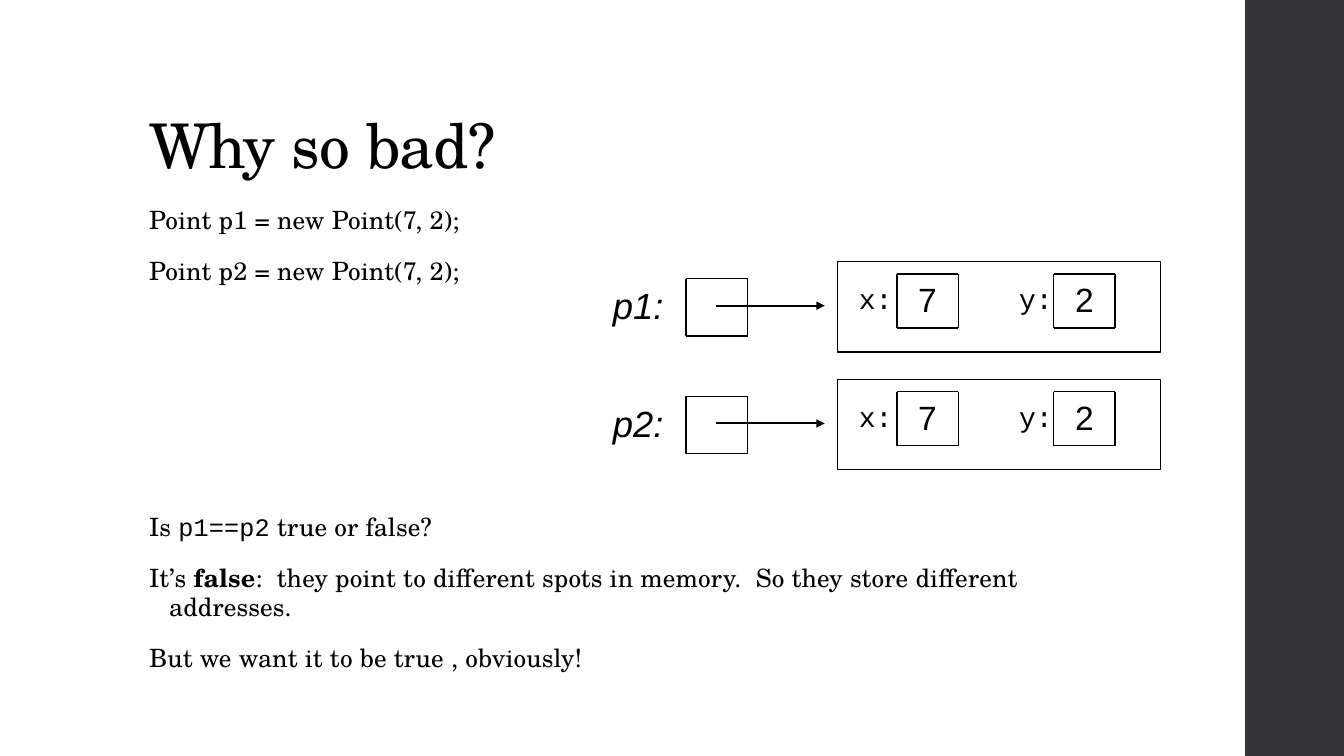
from dataclasses import dataclass

from lxml.etree import SubElement
from pptx import Presentation
from pptx.dml.color import RGBColor
from pptx.enum.shapes import MSO_CONNECTOR as Connector, MSO_SHAPE as Shape
from pptx.enum.text import MSO_ANCHOR as Anchor, PP_ALIGN as Align
from pptx.oxml.ns import qn
from pptx.util import Inches, Pt

BLACK = RGBColor(0x00, 0x00, 0x00)
WHITE = RGBColor(0xFF, 0xFF, 0xFF)
CHARCOAL = RGBColor(0x35, 0x35, 0x37)
SERIF, SANS, MONO = "TeX Gyre Schola", "Arial", "Courier New"

WIDTH, HEIGHT = Inches(13.33), Inches(7.5)
GRID = HEIGHT / 75

DECLARATIONS = [
    [("Point p1 = new Point(7, 2);", {})],
    [("Point p2 = new Point(7, 2);", {})],
]
CONCLUSIONS = [
    [("Is ", {}), ("p1==p2", {"name": MONO}), (" true or false?", {})],
    [("It’s ", {}), ("false", {"bold": True}),
     (":  they point to different spots in memory.  So they store different addresses.", {})],
    [("But we want it to be true , obviously!", {})],
]


@dataclass
class Box:
    """A rectangle measured in grid columns and rows."""
    left: float
    top: float
    width: float
    height: float

    def inner(self, left, top, width, height):
        """Return a box placed relative to this one."""
        return Box(self.left + left, self.top + top, width, height)

    def emu(self):
        """Return the rectangle in slide units."""
        return [round(n * GRID) for n in (self.left, self.top, self.width, self.height)]


def style(para, name, size, align=Align.LEFT, italic=False):
    """Set the font and alignment of a whole paragraph."""
    para.alignment = align
    para.font.name, para.font.size = name, Pt(size)
    para.font.italic = italic
    para.font.color.rgb = BLACK


def set_indent(para, margin, first=0):
    """Set the left margin and first-line indent in inches."""
    properties = para._p.get_or_add_pPr()
    properties.set("marL", str(Inches(margin)))
    properties.set("indent", str(Inches(first)))


def add_spans(para, spans, spacing):
    """Add letter-spaced runs, each with its own font overrides."""
    for words, overrides in spans:
        span = para.add_run()
        span.text = words
        for key, value in overrides.items():
            setattr(span.font, key, value)
        span._r.get_or_add_rPr().set("spc", str(spacing))


def add_text(page, box, anchor=Anchor.TOP):
    """Add a wrapping text box and return its text frame."""
    frame = page.shapes.add_textbox(*box.emu()).text_frame
    frame.word_wrap = True
    frame.vertical_anchor = anchor
    return frame


def add_label(page, box, words, name, size, italic=False, margin=0):
    """Add a centred one-line label."""
    para = add_text(page, box).paragraphs[0]
    para.text = words
    set_indent(para, margin)
    style(para, name, size, Align.CENTER, italic)


def add_rect(page, box, fill=None, line=None):
    """Add a flat rectangle with an optional fill and outline width."""
    shape = page.shapes.add_shape(Shape.RECTANGLE, *box.emu())
    shape.shadow.inherit = False
    if fill is None:
        shape.fill.background()
    else:
        shape.fill.solid()
        shape.fill.fore_color.rgb = fill
    if line is None:
        shape.line.fill.background()
    else:
        shape.line.color.rgb = BLACK
        shape.line.width = Pt(line)
    return shape


def add_line(page, box, width, arrow=False):
    """Add a line from the top left to the bottom right of the box."""
    left, top, across, down = box.emu()
    line = page.shapes.add_connector(Connector.STRAIGHT, left, top, left + across, top + down)
    line.line.color.rgb = BLACK
    line.line.width = Pt(width)
    if arrow:
        SubElement(line.line._get_or_add_ln(), qn("a:tailEnd"), type="triangle")
    SubElement(line._element.spPr, qn("a:effectLst"))


def add_frame(page, box):
    """Draw the four sides of a memory cell."""
    for top in (0, box.height):
        add_line(page, box.inner(0, top, box.width, 0), 1)
    for left in (0, box.width):
        add_line(page, box.inner(left, 0, 0, box.height), 1)


def add_title(page, box, words):
    """Add the slide title, resting on the bottom of its box."""
    para = add_text(page, box, Anchor.BOTTOM).paragraphs[0]
    para.line_spacing = 0.9
    add_spans(para, [(words, {})], -50)
    style(para, SERIF, 44)


def add_body(page, box, lines):
    """Add paragraphs with a hanging indent."""
    frame = add_text(page, box)
    for index, spans in enumerate(lines):
        para = frame.add_paragraph() if index else frame.paragraphs[0]
        para.line_spacing = 0.95
        para.space_before = Pt(14 if index else 0)
        para.space_after = Pt(2)
        set_indent(para, 0.2, -0.2)
        add_spans(para, spans, 10)
        style(para, SERIF, 18)


def add_value(page, box, value):
    """Add a framed cell that holds a field's value."""
    cell = add_rect(page, box, WHITE)
    cell.text_frame.vertical_anchor = Anchor.TOP
    para = cell.text_frame.paragraphs[0]
    para.text = value
    style(para, SANS, 24, Align.CENTER)
    add_frame(page, box)


def add_point(page, box):
    """Add an object with its two named fields."""
    add_rect(page, box, line=0.75)
    add_label(page, box.inner(12.8, 1.5, 10.7, 5.3), "y:", MONO, 20, margin=0.3)
    add_label(page, box.inner(0.85, 1.5, 5.8, 5.3), "x:", MONO, 20)
    for index, value in enumerate(("7", "2")):
        add_value(page, box.inner(5.85 + 15.55 * index, 1.25, 6.1, 5.35), value)


def add_reference(page, box, variable):
    """Add a variable whose arrow leads to the object it refers to."""
    add_label(page, box.inner(0, 1.7, 9.6, 5.7), variable, SANS, 26, italic=True)
    add_frame(page, box.inner(9.55, 1.7, 6.1, 5.7))
    add_line(page, box.inner(12.5, 4.4, 10.8, 0), 1.5, arrow=True)
    add_point(page, box.inner(24.6, 0, 32, box.height))


def build_slide(page):
    """Place every region of the slide on the grid."""
    add_rect(page, Box(123.5, 0, 9.8, 75), CHARCOAL)
    add_title(page, Box(13.8, 4, 106, 14.5), "Why so bad?")
    add_body(page, Box(13.8, 20, 94, 10), DECLARATIONS)
    add_body(page, Box(13.8, 50.45, 94, 17.15), CONCLUSIONS)
    for index, variable in enumerate(("p1:", "p2:")):
        add_reference(page, Box(58.5, 25.93 + 11.68 * index, 56.6, 9), variable)


def main():
    """Build the deck and save it."""
    deck = Presentation()
    deck.slide_width, deck.slide_height = WIDTH, HEIGHT
    build_slide(deck.slides.add_slide(deck.slide_layouts[6]))
    deck.save("out.pptx")


if __name__ == "__main__":
    main()
